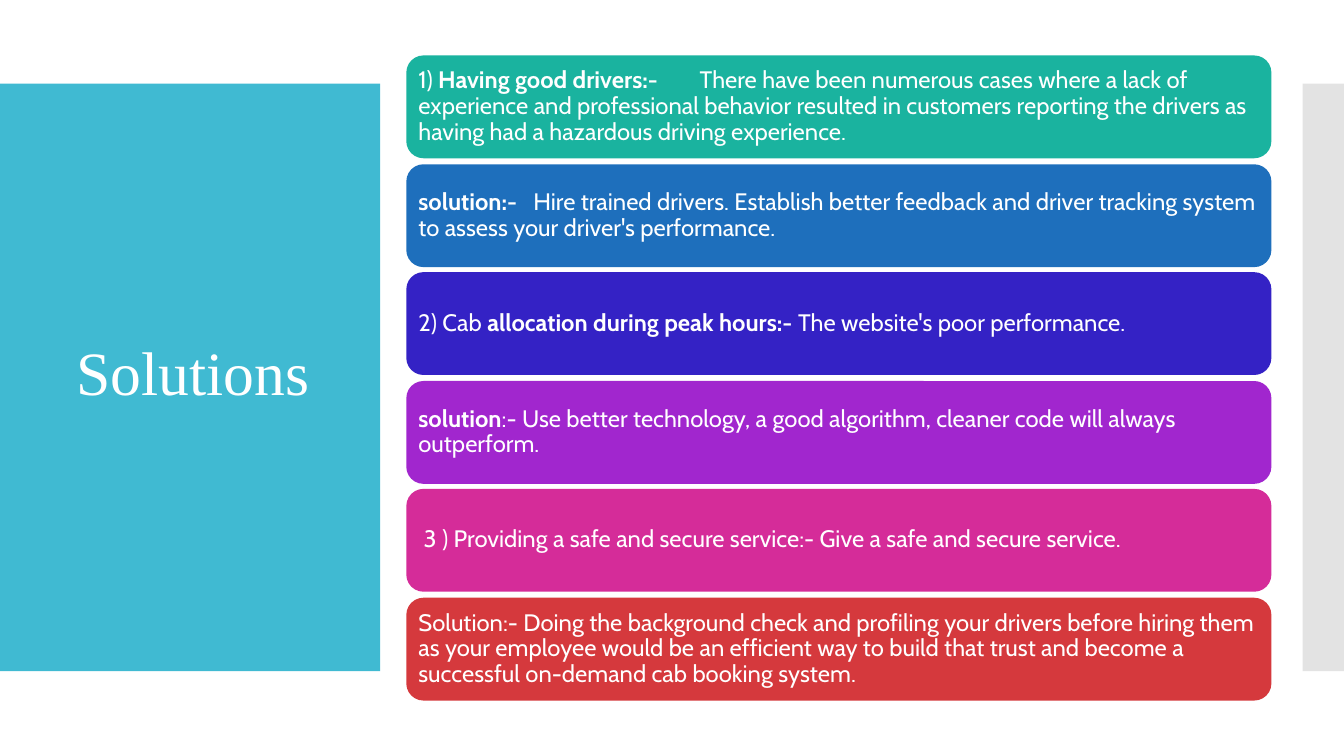
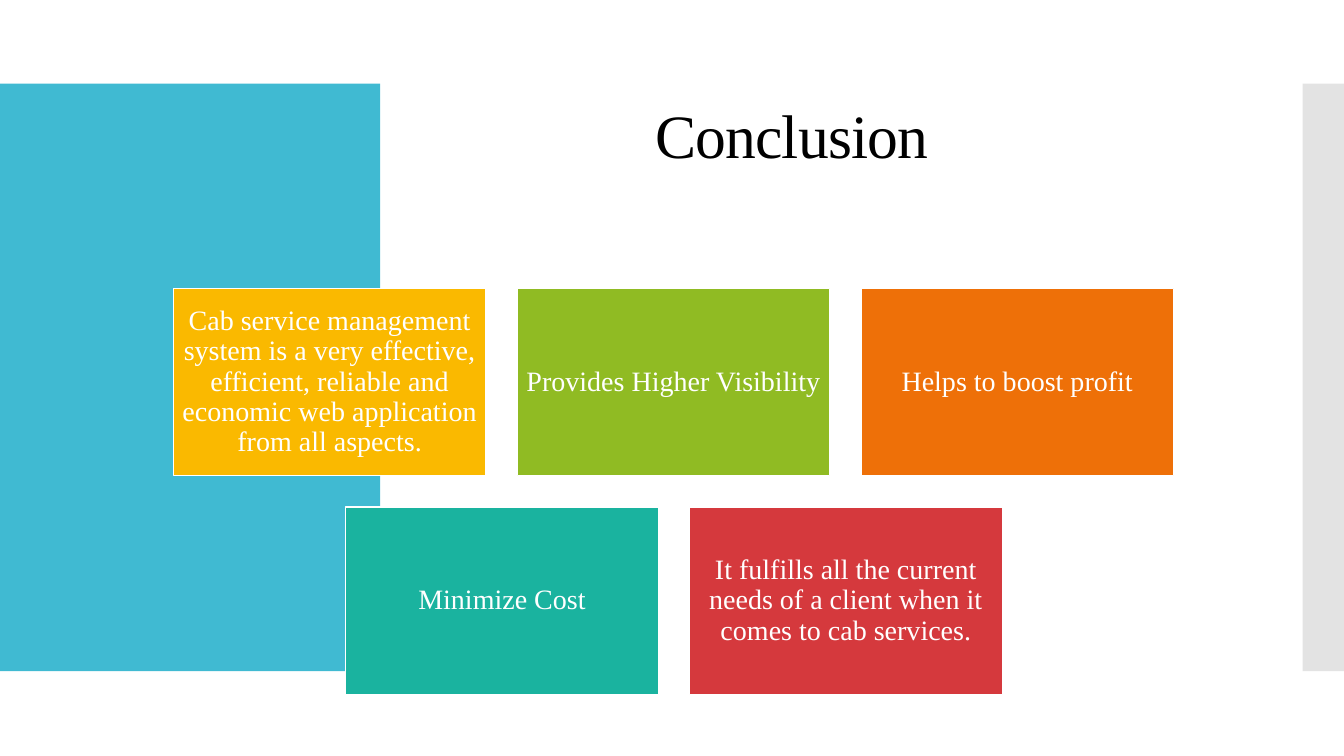
from lxml import etree
from pptx import Presentation, util as u
from pptx.dml.color import RGBColor
from pptx.enum import shapes, text
from pptx.oxml.ns import qn

PX = 9144
WHITE = RGBColor(0xFF, 0xFF, 0xFF)
BLACK = RGBColor(0, 0, 0)
SKY = RGBColor(0x40, 0xBA, 0xD2)
GREY = RGBColor(0xC8, 0xC8, 0xC8)
TEAL = RGBColor(0x1A, 0xB3, 0x9F)
BLUE = RGBColor(0x1E, 0x6F, 0xBC)
INDIGO = RGBColor(0x34, 0x22, 0xC5)
PURPLE = RGBColor(0xA1, 0x26, 0xCE)
PINK = RGBColor(0xD5, 0x2C, 0x99)
RED = RGBColor(0xD5, 0x39, 0x3D)
GOLD = RGBColor(0xFA, 0xB9, 0x00)
GREEN = RGBColor(0x90, 0xBB, 0x23)
ORANGE = RGBColor(0xEE, 0x70, 0x08)
SERIF = "Times New Roman"
SANS = "Cabin"
RECT = shapes.MSO_SHAPE.RECTANGLE
ROUND = shapes.MSO_SHAPE.ROUNDED_RECTANGLE
LEFT, MID = text.PP_ALIGN.LEFT, text.PP_ALIGN.CENTER


def add_box(slide, kind, x, y, w, h, fill):
    box = slide.shapes.add_shape(kind, x * PX, y * PX, w * PX, h * PX)
    box.shadow.inherit = False
    box.fill.solid()
    box.fill.fore_color.rgb = fill
    box.line.fill.background()
    return box


def set_text(box, parts, font, size, color, align, pad):
    frame = box.text_frame
    frame.word_wrap = True
    frame.vertical_anchor = text.MSO_ANCHOR.MIDDLE
    frame.margin_left = frame.margin_right = pad[0] * PX
    frame.margin_top = frame.margin_bottom = pad[1] * PX
    para = frame.paragraphs[0]
    para.alignment = align
    para.line_spacing = 0.9
    for words, bold in parts:
        run = para.add_run()
        run.text = words
        run.font.name = font
        run.font.size = u.Pt(size)
        run.font.bold = bold
        run.font.color.rgb = color
    return para


deck = Presentation()
deck.slide_width = u.Inches(13.33)
deck.slide_height = u.Inches(7.5)

pages = []
for name, x, y, w, h, color in [
    ("Solutions", 66, 326, 252, 84, WHITE),
    ("Conclusion", 640, 50, 318, 175, BLACK),
]:
    page = deck.slides.add_slide(deck.slide_layouts[6])
    add_box(page, RECT, 0, 83, 377, 583, SKY)
    strip = add_box(page, RECT, 1292, 83, 41, 583, GREY)
    tint = strip.fill._xPr.find(".//" + qn("a:srgbClr"))
    etree.SubElement(tint, qn("a:alpha"), val="50000")
    title = page.shapes.add_textbox(x * PX, y * PX, w * PX, h * PX)
    para = set_text(title, [(name, False)], SERIF, 44, color, LEFT, (10, 5))
    if name == "Solutions":
        para.line_spacing = 1.0
    else:
        para.runs[0].font._element.set("spc", "-60")
    pages.append(page)

bars = [
    (TEAL, 279, [
        ("1) ", False),
        ("Having good drivers:-", True),
        ("\tThere have been numerous cases where a lack of experience and "
         "professional behavior resulted in customers reporting the drivers "
         "as having had a hazardous driving experience.", False)]),
    (BLUE, 114, [
        ("solution:-", True),
        ("\tHire trained drivers. Establish better feedback and driver "
         "tracking system to assess your driver's performance.", False)]),
    (INDIGO, None, [
        ("2) Cab", False),
        (" allocation during peak hours:- ", True),
        ("The website's poor performance.", False)]),
    (PURPLE, None, [
        ("solution", True),
        (":- Use better technology, a good algorithm, cleaner code will "
         "always outperform.", False)]),
    (PINK, None, [
        (" 3 ) Providing a safe and secure service:- Give a safe and secure "
         "service.", False)]),
    (RED, None, [
        ("Solution:- Doing the background check and profiling your drivers "
         "before hiring them as your employee would be an efficient way to "
         "build that trust and become a successful on-demand cab booking "
         "system.", False)]),
]
for i, (fill, stop, parts) in enumerate(bars):
    bar = add_box(pages[0], ROUND, 403, 55 + (i * 215 + 1) // 2, 858, 102, fill)
    para = set_text(bar, parts, SANS, 17, WHITE, LEFT, (7, 7))
    if stop:
        tabs = etree.SubElement(para._p.get_or_add_pPr(), qn("a:tabLst"))
        etree.SubElement(tabs, qn("a:tab"), pos=str(stop * PX), algn="l")

rows = [
    [(GOLD, "Cab service management system is a very effective, efficient, "
            "reliable and economic web application from all aspects."),
     (GREEN, "Provides Higher Visibility"),
     (ORANGE, "Helps to boost profit")],
    [(TEAL, "Minimize Cost"),
     (RED, "It fulfills all the current needs of a client when it comes to "
           "cab services.")],
]
wide, high, gap, axis = 310, 186, 31, 668
for r, row in enumerate(rows):
    start = axis - (len(row) * (wide + gap) - gap) // 2
    for c, (fill, words) in enumerate(row):
        card = add_box(pages[1], RECT, start + c * (wide + gap),
                       286 + r * (high + gap), wide, high, fill)
        card.line.color.rgb = WHITE
        card.line.width = u.Pt(0.85)
        set_text(card, [(words, False)], SERIF, 20, WHITE, MID, (8, 8))

deck.save("out.pptx")
